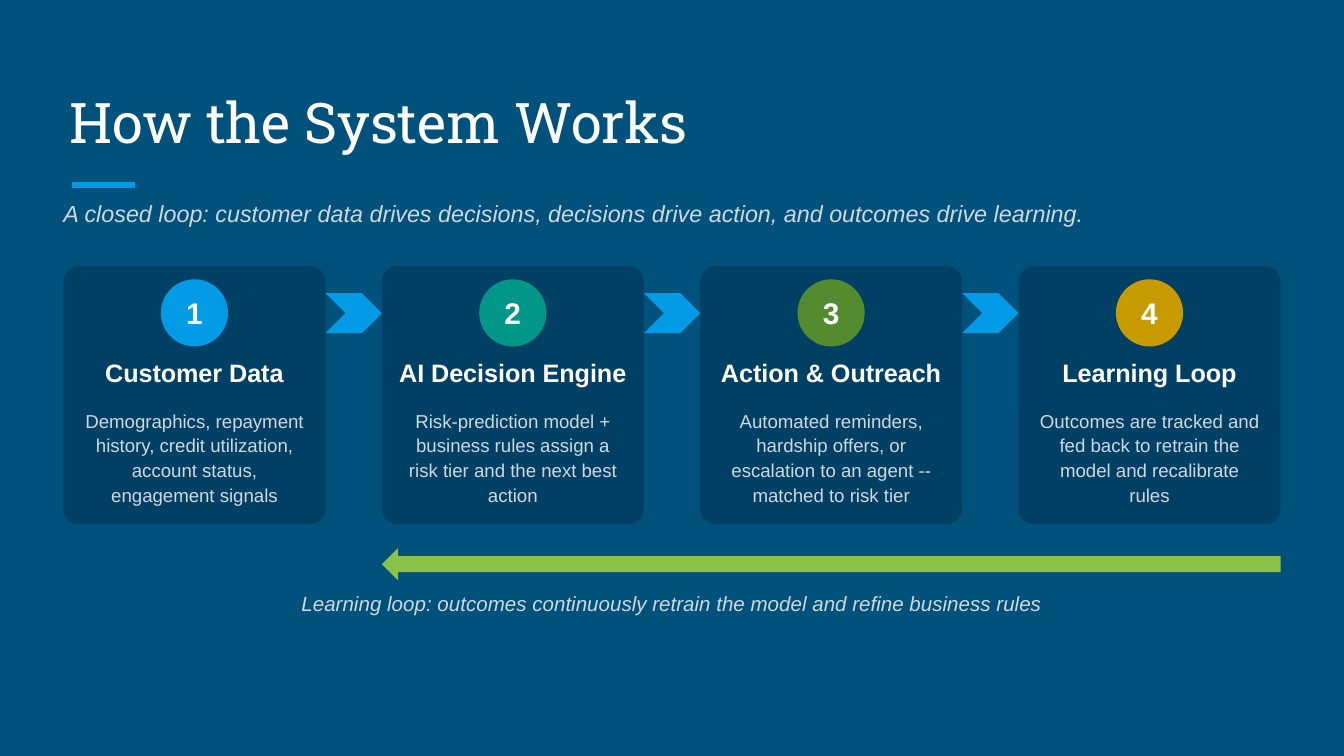
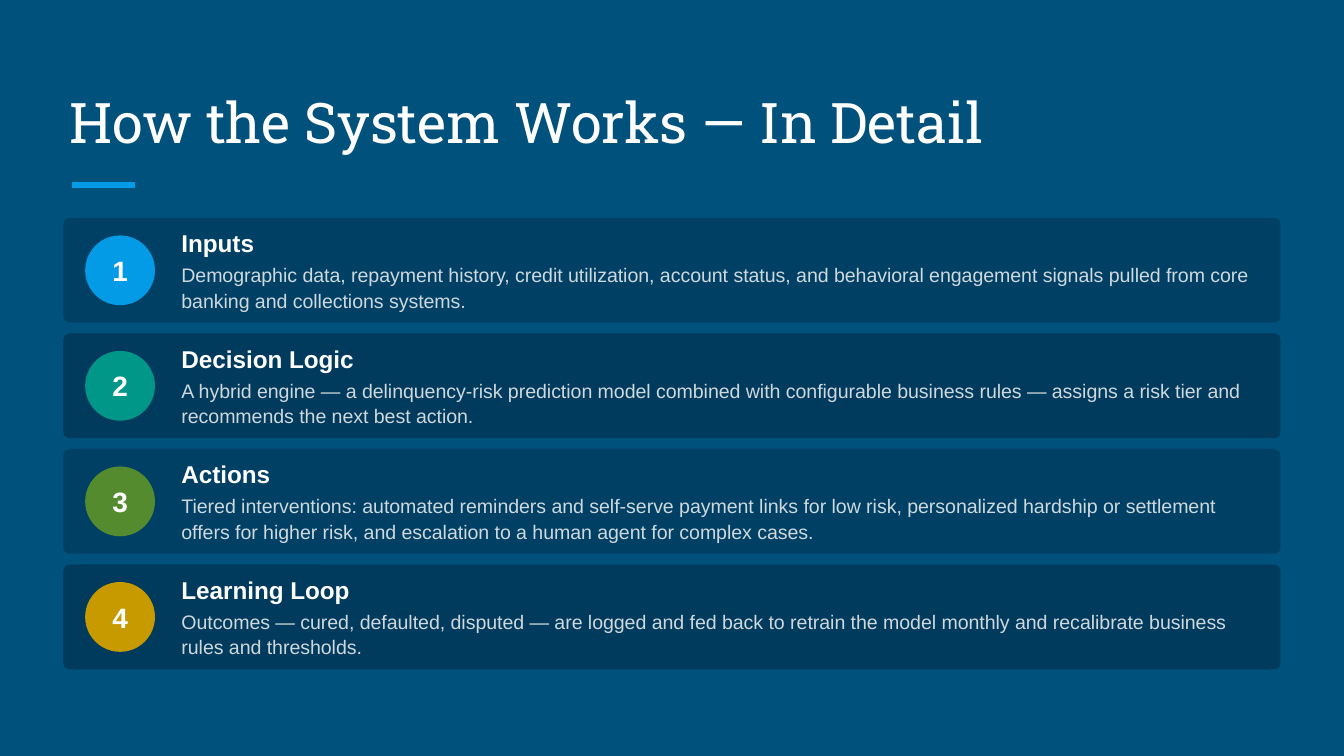
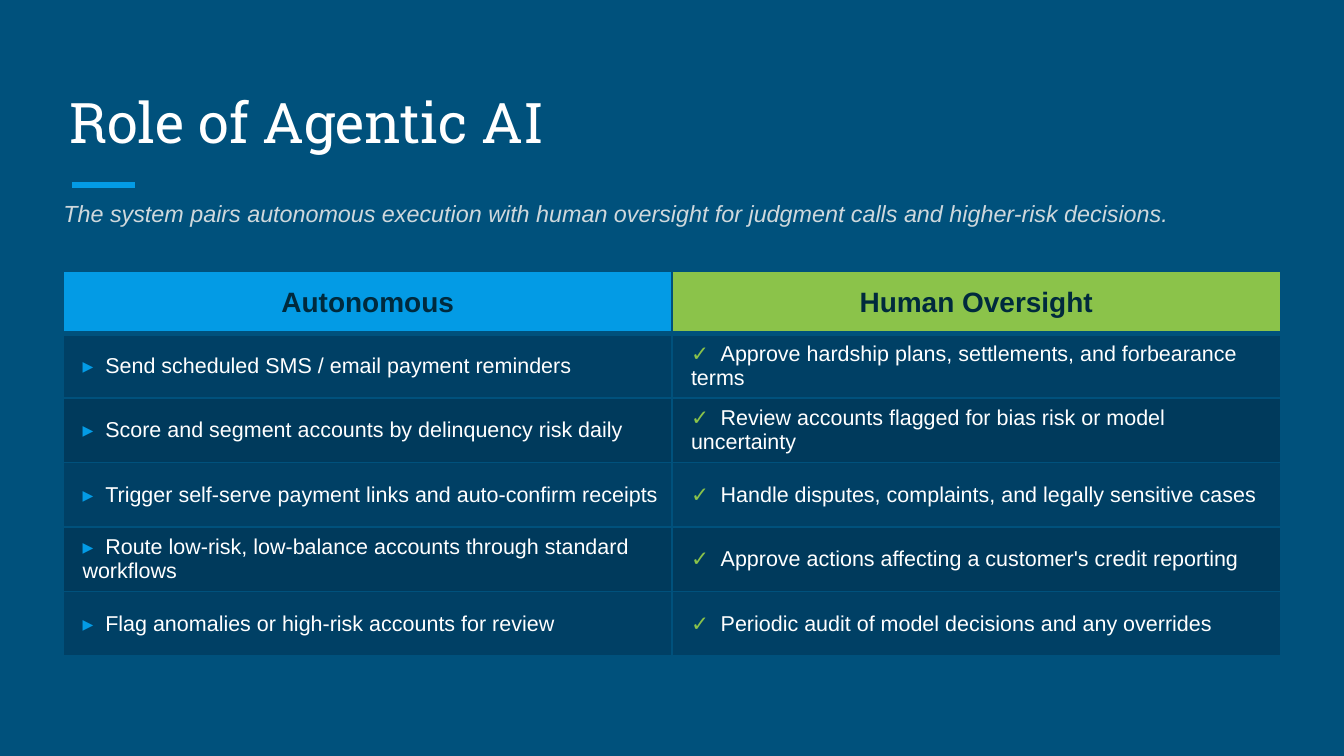
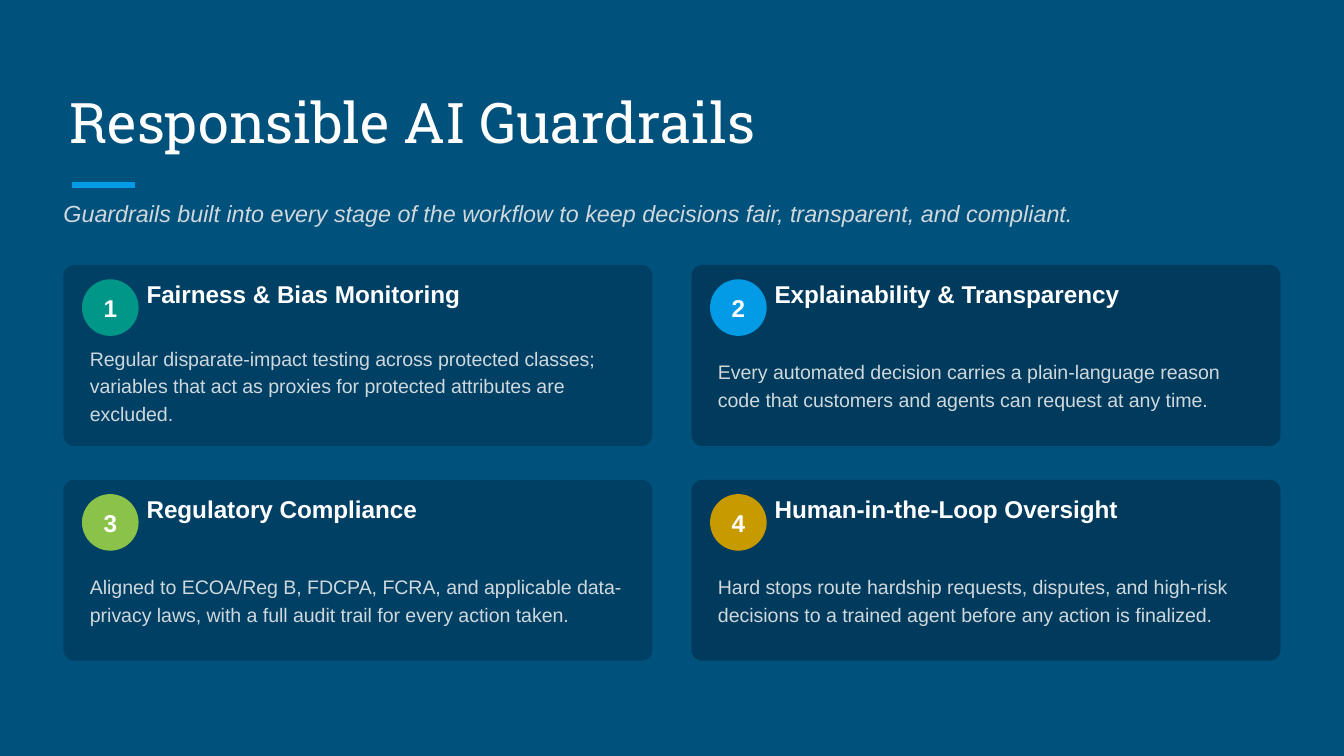
"""Build four slides on an AI-assisted collections system."""
from lxml.etree import SubElement
from pptx import Presentation
from pptx.dml.color import RGBColor
from pptx.enum.shapes import MSO_CONNECTOR, MSO_SHAPE
from pptx.enum.text import MSO_ANCHOR, MSO_AUTO_SIZE, PP_ALIGN
from pptx.oxml.ns import qn
from pptx.util import Cm, Pt

BACKGROUND = RGBColor(0x00, 0x51, 0x7C)
PANEL = RGBColor(0x00, 0x40, 0x65)
PANEL_DARK = RGBColor(0x00, 0x3A, 0x5C)
INK = RGBColor(0x00, 0x2A, 0x3D)
WHITE = RGBColor(0xFF, 0xFF, 0xFF)
MUTED = RGBColor(0xCF, 0xD8, 0xDC)
BLUE = RGBColor(0x03, 0x9B, 0xE5)
TEAL = RGBColor(0x00, 0x96, 0x88)
GREEN = RGBColor(0x55, 0x8B, 0x2F)
LIME = RGBColor(0x8B, 0xC3, 0x4A)
GOLD = RGBColor(0xC7, 0x9A, 0x00)

STEP_COLORS = [BLUE, TEAL, GREEN, GOLD]
PANELS = [PANEL, PANEL_DARK]
TITLE_FONT = "Roboto Slab"
BODY_FONT = "Arial"
MARGIN = 1.2
CONTENT_WIDTH = 23

STEPS = [
    ("Customer Data", "Demographics, repayment history, credit utilization, account status, engagement signals"),
    ("AI Decision Engine", "Risk-prediction model + business rules assign a risk tier and the next best action"),
    ("Action & Outreach", "Automated reminders, hardship offers, or escalation to an agent -- matched to risk tier"),
    ("Learning Loop", "Outcomes are tracked and fed back to retrain the model and recalibrate rules"),
]
DETAILS = [
    ("Inputs", "Demographic data, repayment history, credit utilization, account status, and behavioral "
     "engagement signals pulled from core banking and collections systems."),
    ("Decision Logic", "A hybrid engine — a delinquency-risk prediction model combined with configurable "
     "business rules — assigns a risk tier and recommends the next best action."),
    ("Actions", "Tiered interventions: automated reminders and self-serve payment links for low risk, "
     "personalized hardship or settlement offers for higher risk, and escalation to a human agent for complex cases."),
    ("Learning Loop", "Outcomes — cured, defaulted, disputed — are logged and fed back to retrain the model "
     "monthly and recalibrate business rules and thresholds."),
]
ROLE_COLUMNS = [("Autonomous", "▸", BLUE, 0.43), ("Human Oversight", "✓", LIME, 0.56)]
ROLE_ROWS = [
    ("Send scheduled SMS / email payment reminders", "Approve hardship plans, settlements, and forbearance terms"),
    ("Score and segment accounts by delinquency risk daily",
     "Review accounts flagged for bias risk or model uncertainty"),
    ("Trigger self-serve payment links and auto-confirm receipts",
     "Handle disputes, complaints, and legally sensitive cases"),
    ("Route low-risk, low-balance accounts through standard workflows",
     "Approve actions affecting a customer's credit reporting"),
    ("Flag anomalies or high-risk accounts for review", "Periodic audit of model decisions and any overrides"),
]
GUARDRAILS = [
    ("Fairness & Bias Monitoring", "Regular disparate-impact testing across protected classes; variables that "
     "act as proxies for protected attributes are excluded.", TEAL),
    ("Explainability & Transparency", "Every automated decision carries a plain-language reason code that "
     "customers and agents can request at any time.", BLUE),
    ("Regulatory Compliance", "Aligned to ECOA/Reg B, FDCPA, FCRA, and applicable data-privacy laws, with a "
     "full audit trail for every action taken.", LIME),
    ("Human-in-the-Loop Oversight", "Hard stops route hardship requests, disputes, and high-risk decisions to "
     "a trained agent before any action is finalized.", GOLD),
]


def write(paragraph, text, size=10.5, color=MUTED, bold=False, italic=False, font=BODY_FONT,
          align=PP_ALIGN.LEFT, spacing=None, after=None):
    """Append a formatted run to a paragraph."""
    run = paragraph.add_run()
    run.text = text
    run.font.name = font
    run.font.size = Pt(size)
    run.font.bold = bold
    run.font.italic = italic
    run.font.color.rgb = color
    paragraph.alignment = align
    if spacing:
        paragraph.line_spacing = spacing
    if after:
        paragraph.space_after = Pt(after)


def set_borders(cell, bottom):
    """Draw the four borders of a cell in the background colour."""
    properties = cell._tc.get_or_add_tcPr()
    for side, width in (("L", 1), ("R", 1), ("T", 1), ("B", bottom)):
        line = SubElement(properties, qn(f"a:ln{side}"), w=str(Pt(width)))
        fill = SubElement(line, qn("a:solidFill"))
        SubElement(fill, qn("a:srgbClr"), val=str(BACKGROUND))


class Deck:
    """Hold the presentation, its style and the current slide."""

    def __init__(self):
        """Set the slide size and the shared background."""
        self.presentation = Presentation()
        self.presentation.slide_width = Cm(25.4)
        self.presentation.slide_height = Cm(14.29)
        fill = self.presentation.slide_master.background.fill
        fill.solid()
        fill.fore_color.rgb = BACKGROUND
        self.slide = None

    def new_slide(self, title, subtitle=None):
        """Start a slide with its title, accent line and optional subtitle."""
        self.slide = self.presentation.slides.add_slide(self.presentation.slide_layouts[5])
        shape = self.slide.shapes.title
        shape.left, shape.top, shape.width, shape.height = Cm(1.07), Cm(1.27), Cm(23.24), Cm(1.91)
        frame = shape.text_frame
        frame.auto_size = MSO_AUTO_SIZE.NONE
        frame.vertical_anchor = MSO_ANCHOR.BOTTOM
        frame.margin_left = frame.margin_right = frame.margin_top = frame.margin_bottom = Cm(0.25)
        write(frame.paragraphs[0], title, size=30, color=WHITE, font=TITLE_FONT)
        accent = self.slide.shapes.add_connector(MSO_CONNECTOR.STRAIGHT, Cm(1.36), Cm(3.5), Cm(2.55), Cm(3.5))
        accent.line.color.rgb = BLUE
        accent.line.width = Pt(3)
        SubElement(accent._element.spPr, qn("a:effectLst"))
        if subtitle:
            self.text(MARGIN, 3.76, CONTENT_WIDTH, 0.84, subtitle, size=12.5, italic=True)

    def shape(self, kind, left, top, width, height, color):
        """Add a flat filled shape."""
        shape = self.slide.shapes.add_shape(kind, Cm(left), Cm(top), Cm(width), Cm(height))
        shape.shadow.inherit = False
        shape.fill.solid()
        shape.fill.fore_color.rgb = color
        shape.line.fill.background()
        return shape

    def panel(self, left, top, width, height, color):
        """Add a rounded panel."""
        self.shape(MSO_SHAPE.ROUNDED_RECTANGLE, left, top, width, height, color).adjustments[0] = 0.06

    def badge(self, left, top, diameter, number, color, size):
        """Add a numbered circle."""
        frame = self.shape(MSO_SHAPE.OVAL, left, top, diameter, diameter, color).text_frame
        self.clear_margins(frame, MSO_ANCHOR.MIDDLE)
        frame.word_wrap = False
        write(frame.paragraphs[0], str(number), size=size, color=WHITE, bold=True, align=PP_ALIGN.CENTER)

    def clear_margins(self, frame, anchor):
        """Remove the margins of a text frame and anchor it."""
        frame.margin_left = frame.margin_right = frame.margin_top = frame.margin_bottom = 0
        frame.vertical_anchor = anchor

    def text(self, left, top, width, height, text, anchor=MSO_ANCHOR.TOP, **style):
        """Add a wrapped text box and return its frame."""
        frame = self.slide.shapes.add_textbox(Cm(left), Cm(top), Cm(width), Cm(height)).text_frame
        self.clear_margins(frame, anchor)
        frame.word_wrap = True
        write(frame.paragraphs[0], text, **style)
        return frame

    def table(self, left, top, column_width, row_heights):
        """Add a two-column table with the given row heights."""
        height = sum(row_heights)
        table = self.slide.shapes.add_table(
            len(row_heights), 2, Cm(left), Cm(top), Cm(2 * column_width), Cm(height)).table
        for column in table.columns:
            column.width = Cm(column_width)
        for row, row_height in zip(table.rows, row_heights):
            row.height = Cm(row_height)
        return table

    def cell(self, cell, color, margin_left, margin_right, bottom=1):
        """Format a table cell and return its first paragraph."""
        set_borders(cell, bottom)
        cell.fill.solid()
        cell.fill.fore_color.rgb = color
        cell.vertical_anchor = MSO_ANCHOR.MIDDLE
        cell.margin_left, cell.margin_right = Cm(margin_left), Cm(margin_right)
        cell.margin_top = cell.margin_bottom = Cm(0.1)
        return cell.text_frame.paragraphs[0]


def build_overview(deck):
    """Show the four steps and the loop back."""
    deck.new_slide("How the System Works",
                   "A closed loop: customer data drives decisions, decisions drive action, "
                   "and outcomes drive learning.")
    card_width, card_top, badge_size = 4.95, 5.03, 1.27
    pitch = (CONTENT_WIDTH - card_width) / (len(STEPS) - 1)
    for index, ((heading, body), color) in enumerate(zip(STEPS, STEP_COLORS)):
        left = MARGIN + index * pitch
        deck.panel(left, card_top, card_width, 4.88, PANEL)
        deck.badge(left + (card_width - badge_size) / 2, card_top + 0.25, badge_size, index + 1, color, 16)
        deck.text(left + 0.25, 6.76, card_width - 0.5, 0.91, heading,
                  size=13.5, color=WHITE, bold=True, align=PP_ALIGN.CENTER)
        deck.text(left + 0.36, 7.7, card_width - 0.72, 2.08, body,
                  size=10, align=PP_ALIGN.CENTER, spacing=1.1)
        if index < len(STEPS) - 1:
            deck.shape(MSO_SHAPE.CHEVRON, left + card_width, 5.54, pitch - card_width, 0.76, BLUE)
    deck.shape(MSO_SHAPE.LEFT_ARROW, MARGIN + pitch, 10.36, CONTENT_WIDTH - pitch, 0.61, LIME)
    deck.text(MARGIN, 11.18, CONTENT_WIDTH, 0.81,
              "Learning loop: outcomes continuously retrain the model and refine business rules",
              size=11, italic=True, align=PP_ALIGN.CENTER)


def build_details(deck):
    """Describe each step in a full-width row."""
    deck.new_slide("How the System Works — In Detail")
    for index, ((heading, body), color) in enumerate(zip(DETAILS, STEP_COLORS)):
        top = 4.12 + index * 2.184
        deck.panel(MARGIN, top, CONTENT_WIDTH, 1.98, PANELS[index % 2])
        deck.badge(1.61, top + 0.33, 1.32, index + 1, color, 15)
        frame = deck.text(3.43, top + 0.2, 20.2, 1.58, heading, anchor=MSO_ANCHOR.MIDDLE,
                          size=13, color=WHITE, bold=True, after=2)
        write(frame.add_paragraph(), body, spacing=1.08)


def build_roles(deck):
    """Compare autonomous work with human oversight."""
    deck.new_slide("Role of Agentic AI",
                   "The system pairs autonomous execution with human oversight for judgment calls "
                   "and higher-risk decisions.")
    table = deck.table(MARGIN, 5.13, CONTENT_WIDTH / 2, [1.17] + [1.22] * len(ROLE_ROWS))
    for column, (heading, marker, color, tab) in enumerate(ROLE_COLUMNS):
        paragraph = deck.cell(table.cell(0, column), color, 0.3, 0.3, bottom=3)
        write(paragraph, heading, size=15, color=INK, bold=True, align=PP_ALIGN.CENTER)
        for row, texts in enumerate(ROLE_ROWS, start=1):
            paragraph = deck.cell(table.cell(row, column), PANELS[(row - 1) % 2], 0.36, 0.25)
            tabs = SubElement(paragraph._p.get_or_add_pPr(), qn("a:tabLst"))
            SubElement(tabs, qn("a:tab"), pos=str(Cm(tab)), algn="l")
            write(paragraph, marker + "\t", size=11.5, color=color, bold=True)
            write(paragraph, texts[column], size=11.5, color=WHITE)


def build_guardrails(deck):
    """Lay the four guardrails out in a two-by-two grid."""
    deck.new_slide("Responsible AI Guardrails",
                   "Guardrails built into every stage of the workflow to keep decisions fair, "
                   "transparent, and compliant.")
    card_width = 11.13
    for index, (heading, body, color) in enumerate(GUARDRAILS):
        row, column = divmod(index, 2)
        left = MARGIN + column * (CONTENT_WIDTH - card_width)
        top = 5.01 + row * 4.06
        deck.panel(left, top, card_width, 3.42, PANELS[column])
        deck.badge(left + 0.35, top + 0.27, 1.07, index + 1, color, 13)
        deck.text(left + 1.57, top + 0.27, 9.1, 0.81, heading, size=13, color=WHITE, bold=True)
        deck.text(left + 0.5, top + 1.37, 10.12, 1.75, body, anchor=MSO_ANCHOR.MIDDLE, spacing=1.18)


def main():
    """Build and save the deck."""
    deck = Deck()
    build_overview(deck)
    build_details(deck)
    build_roles(deck)
    build_guardrails(deck)
    deck.presentation.save("out.pptx")


if __name__ == "__main__":
    main()
